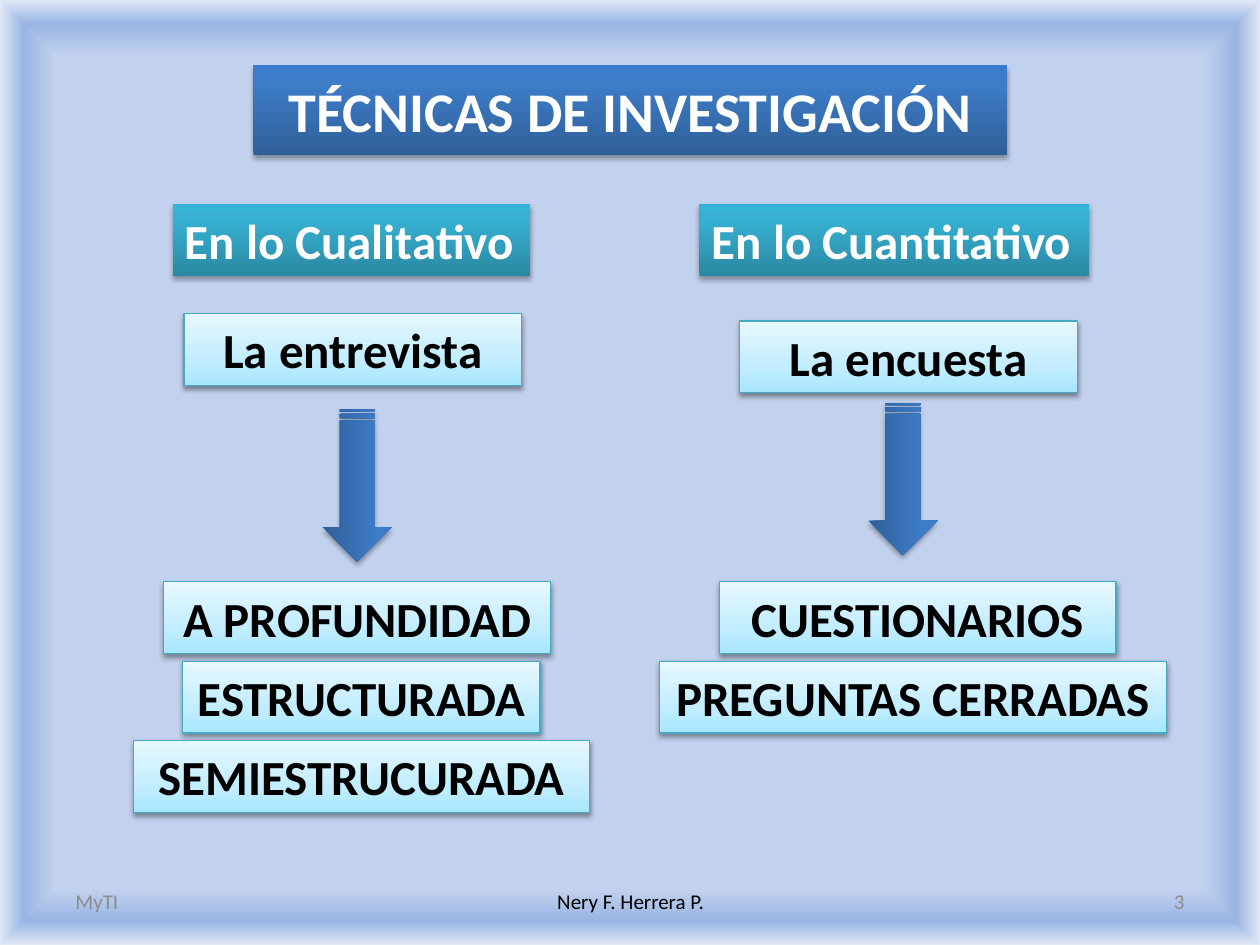
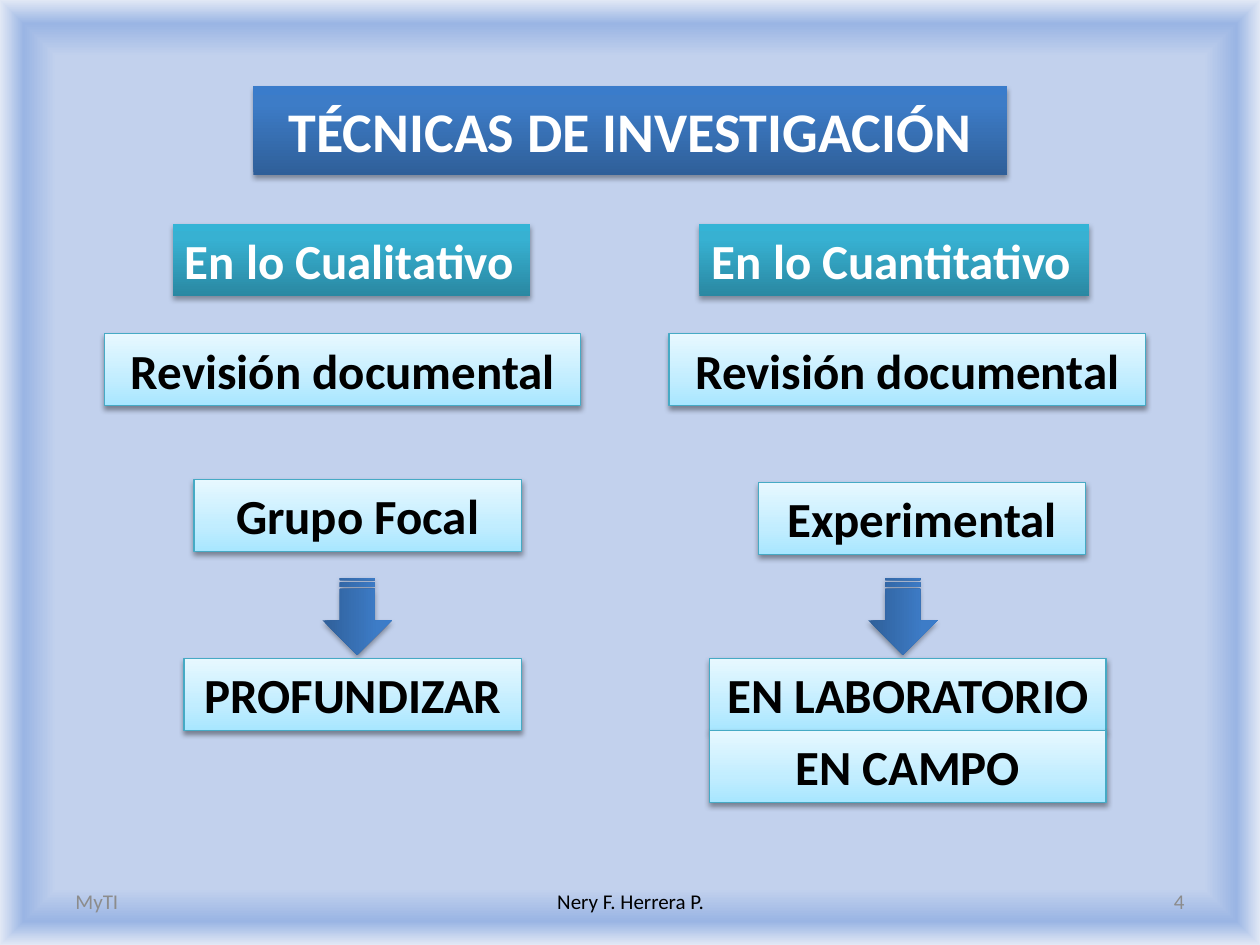
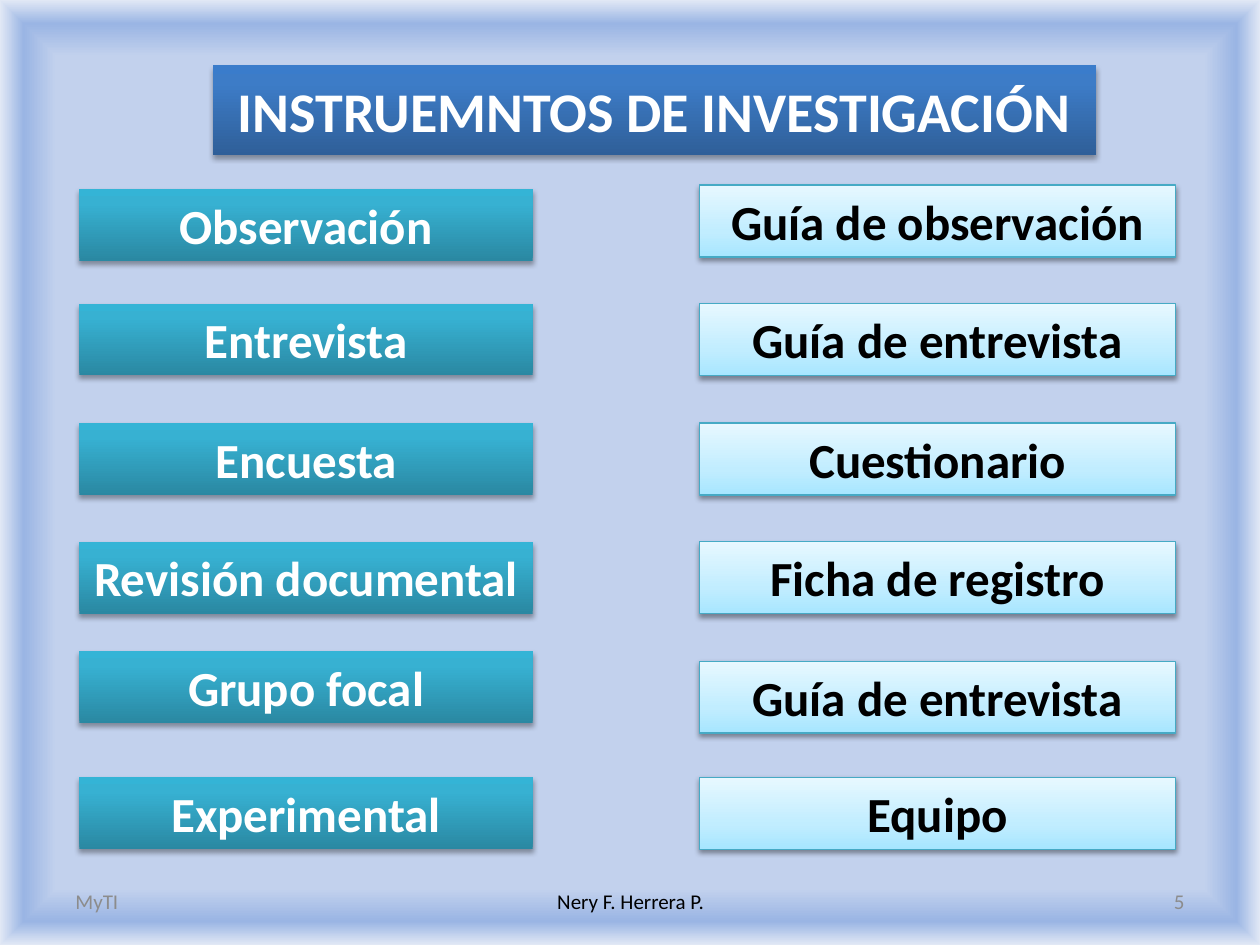
"""Builds three slides on research techniques and instruments."""
import dataclasses

import pptx
import pptx.dml.color
import pptx.enum.shapes
import pptx.enum.text
import pptx.oxml
import pptx.oxml.ns
import pptx.util

Cm = pptx.util.Cm
Pt = pptx.util.Pt
Rgb = pptx.dml.color.RGBColor
Align = pptx.enum.text.PP_ALIGN
Anchor = pptx.enum.text.MSO_ANCHOR
Fit = pptx.enum.text.MSO_AUTO_SIZE
Shape = pptx.enum.shapes.MSO_SHAPE
NAMESPACE = pptx.oxml.ns.nsdecls("a")


@dataclasses.dataclass(frozen=True)
class Look:
    """Fill, shadow, outline and text colour of one kind of shape."""
    stops: tuple
    shadow_alpha: int
    shadow_distance: float
    ink: str
    outline: str = ""


@dataclasses.dataclass(frozen=True)
class Theme:
    """Colours, type sizes and common measures in centimetres."""
    font: str = "Calibri"
    title_size: int = 32
    label_size: int = 28
    footer_size: int = 12
    label_height: float = 1.45
    title_height: float = 1.8
    title_to_heading: float = 2.79
    black: str = "000000"
    muted: str = "8C8C8C"
    backdrop: tuple = ((88, "C2D1ED"), (95, "9AB5E4"), (100, "E1E8F5"))
    banner: Look = Look(((0, "2F5F99"), (80, "3D7CC7"), (100, "3A7CCB")), 35, 1.8, "FFFFFF")
    heading: Look = Look(((0, "2A88A2"), (80, "37B1D2"), (100, "34B4D6")), 35, 1.8, "FFFFFF")
    item: Look = Look(((0, "A7E6FF"), (35, "C1EDFF"), (100, "E7F8FF")), 38, 1.6, "000000", "46AAC5")


def gradient(stops, direction):
    """Return a gradient fill element."""
    marks = "".join(
        f'<a:gs pos="{place * 1000}"><a:srgbClr val="{colour}"/></a:gs>' for place, colour in stops
    )
    return pptx.oxml.parse_xml(
        f'<a:gradFill {NAMESPACE} rotWithShape="1"><a:gsLst>{marks}</a:gsLst>{direction}</a:gradFill>'
    )


class SlideBuilder:
    """Holds the theme and the current slide and draws each kind of element."""

    def __init__(self, deck, theme):
        """Set the slide size and the common background."""
        self.deck = deck
        self.theme = theme
        self.page = None
        deck.slide_width, deck.slide_height = Cm(25.4), Cm(19.05)
        master = deck.slide_master
        master.background.fill.gradient()
        old_fill = master.element.find(".//" + pptx.oxml.ns.qn("a:gradFill"))
        direction = (
            '<a:path path="shape"><a:fillToRect l="50000" t="50000" r="50000" b="50000"/></a:path>'
        )
        old_fill.getparent().replace(old_fill, gradient(theme.backdrop, direction))

    def start(self, number, title, left, top, width):
        """Add a slide with its title and footer."""
        self.page = self.deck.slides.add_slide(self.deck.slide_layouts[5])
        box = self.page.shapes.title
        box.left, box.top = Cm(left), Cm(top)
        box.width, box.height = Cm(width), Cm(self.theme.title_height)
        box.element.spPr.append(pptx.oxml.parse_xml(
            f'<a:prstGeom {NAMESPACE} prst="roundRect"><a:avLst/></a:prstGeom>'
        ))
        self.dress(box, self.theme.banner)
        box.text_frame.auto_size = Fit.NONE
        self.add_text(box, title, self.theme.title_size, self.theme.banner.ink, bold=True)
        self.footer(number)

    def footer(self, number):
        """Add the course, author and slide number."""
        parts = (
            ("MyTI", 1.27, 5.92, Align.LEFT, self.theme.muted),
            ("Nery F. Herrera P.", 8.69, 8.05, Align.CENTER, self.theme.black),
            (str(number), 18.21, 5.92, Align.RIGHT, self.theme.muted),
        )
        for text, left, width, align, colour in parts:
            box = self.page.shapes.add_textbox(Cm(left), Cm(17.65), Cm(width), Cm(1.02))
            self.add_text(box, text, self.theme.footer_size, colour, align)

    def label(self, text, left, top, width, look, align=Align.CENTER, wrap=True):
        """Add a rectangle with one line of text."""
        box = self.page.shapes.add_shape(
            Shape.RECTANGLE, Cm(left), Cm(top), Cm(width), Cm(self.theme.label_height)
        )
        self.dress(box, look)
        self.add_text(box, text, self.theme.label_size, look.ink, align, True, Anchor.TOP, wrap)
        box.text_frame.auto_size = Fit.SHAPE_TO_FIT_TEXT

    def heading(self, text, left, top, width, align=Align.CENTER, wrap=True):
        """Add a dark label."""
        self.label(text, left, top, width, self.theme.heading, align, wrap)

    def item(self, text, left, top, width):
        """Add a light label."""
        self.label(text, left, top, width, self.theme.item)

    def arrow(self, centre, middle, length, breadth=1.4):
        """Add a striped arrow that points down."""
        arrow = self.page.shapes.add_shape(
            Shape.STRIPED_RIGHT_ARROW,
            Cm(centre - length / 2), Cm(middle - breadth / 2), Cm(length), Cm(breadth),
        )
        arrow.rotation = 90
        self.dress(arrow, self.theme.banner)

    def dress(self, shape, look):
        """Give a shape its gradient, outline and shadow."""
        shape.element.spPr.append(gradient(look.stops, '<a:lin ang="16200000" scaled="0"/>'))
        if look.outline:
            shape.line.color.rgb = Rgb.from_string(look.outline)
            shape.line.width = Pt(0.75)
        else:
            shape.line.fill.background()
        shape.shadow.inherit = False
        effects = shape.element.spPr.find(pptx.oxml.ns.qn("a:effectLst"))
        effects.append(pptx.oxml.parse_xml(
            f'<a:outerShdw {NAMESPACE} blurRad="{Pt(3.1)}" dist="{Pt(look.shadow_distance)}"'
            f' dir="5400000" rotWithShape="0"><a:srgbClr val="{self.theme.black}">'
            f'<a:alpha val="{look.shadow_alpha * 1000}"/></a:srgbClr></a:outerShdw>'
        ))

    def add_text(self, box, text, size, colour, align=Align.CENTER, bold=False,
                 anchor=Anchor.MIDDLE, wrap=True):
        """Put one formatted run into a box."""
        frame = box.text_frame
        frame.word_wrap = wrap
        frame.vertical_anchor = anchor
        para = frame.paragraphs[0]
        para.alignment = align
        span = para.add_run()
        span.text = text
        span.font.name = self.theme.font
        span.font.size = Pt(size)
        span.font.bold = bold
        span.font.color.rgb = Rgb.from_string(colour)

    def techniques(self, number, top, items, arrows):
        """Add a slide that sets qualitative beside quantitative techniques."""
        self.start(number, "TÉCNICAS DE INVESTIGACIÓN", 5.11, top, 15.19)
        heading_top = top + self.theme.title_to_heading
        self.heading("En lo Cualitativo", 3.48, heading_top, 7.21, Align.LEFT, False)
        self.heading("En lo Cuantitativo", 14.1, heading_top, 7.85, Align.LEFT, False)
        for arrow in arrows:
            self.arrow(*arrow)
        for item in items:
            self.item(*item)

    def instruments(self, number, rows):
        """Add a slide that pairs each technique with its instrument."""
        self.start(number, "INSTRUEMNTOS DE INVESTIGACIÓN", 4.29, 1.32, 17.81)
        for technique, technique_top, instrument, instrument_top in rows:
            self.heading(technique, 1.6, technique_top, 9.14)
            self.item(instrument, 14.1, instrument_top, 9.6)


def main():
    """Build and save the deck."""
    deck = pptx.Presentation()
    builder = SlideBuilder(deck, Theme())
    builder.techniques(
        3, 1.32,
        items=(
            ("La entrevista", 3.71, 6.32, 6.81),
            ("La encuesta", 14.91, 6.47, 6.81),
            ("A PROFUNDIDAD", 3.3, 11.73, 7.8),
            ("ESTRUCTURADA", 3.68, 13.33, 7.21),
            ("SEMIESTRUCURADA", 2.69, 14.93, 9.2),
            ("CUESTIONARIOS", 14.5, 11.73, 8),
            ("PREGUNTAS CERRADAS", 13.3, 13.33, 10.21),
        ),
        arrows=((7.2, 9.79, 3.07), (18.2, 9.66, 3.07)),
    )
    builder.techniques(
        4, 1.73,
        items=(
            ("Revisión documental", 2.11, 6.73, 9.6),
            ("Revisión documental", 13.49, 6.73, 9.6),
            ("Grupo Focal", 3.91, 9.67, 6.6),
            ("Experimental", 15.29, 9.73, 6.6),
            ("PROFUNDIZAR", 3.71, 13.28, 6.81),
            ("EN LABORATORIO", 14.3, 13.28, 8),
            ("EN CAMPO", 14.3, 14.73, 8),
        ),
        arrows=((7.2, 12.43, 1.55), (18.2, 12.43, 1.55)),
    )
    builder.instruments(5, (
        ("Observación", 3.81, "Guía de observación", 3.73),
        ("Entrevista", 6.12, "Guía de entrevista", 6.12),
        ("Encuesta", 8.53, "Cuestionario", 8.53),
        ("Revisión documental", 10.92, "Ficha de registro", 10.92),
        ("Grupo focal", 13.13, "Guía de entrevista", 13.33),
        ("Experimental", 15.67, "Equipo", 15.67),
    ))
    deck.save("out.pptx")


if __name__ == "__main__":
    main()
